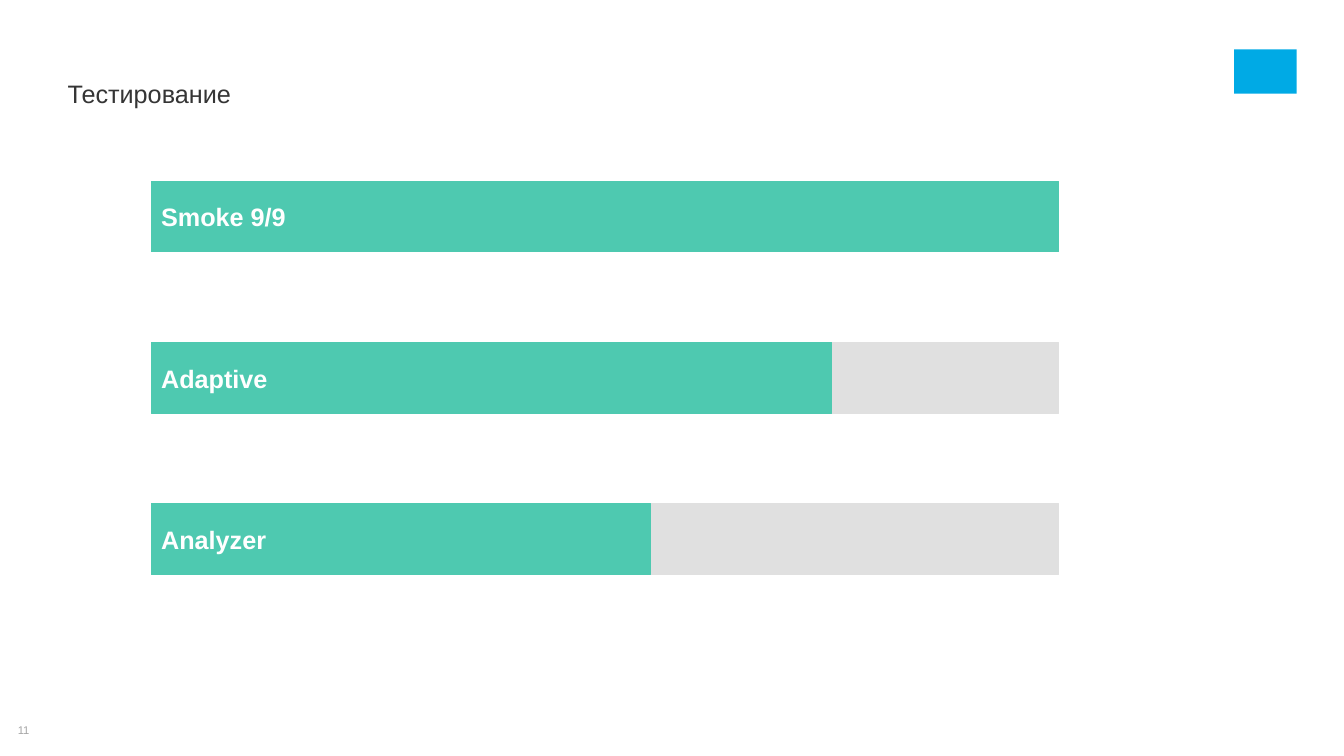
from pptx import Presentation
from pptx.dml.color import RGBColor
from pptx.enum.shapes import MSO_SHAPE
from pptx.enum.text import MSO_ANCHOR, PP_ALIGN
from pptx.util import Emu, Pt

PX = 9144  # EMU per px, 100 px to the inch
FONT = "Arial"
COLORS = {
    "title": "353535",
    "number": "A5A5A5",
    "emblem": "00AAE5",
    "done": "4EC9B0",
    "track": "E0E0E0",
    "label": "FFFFFF",
}
TESTS = [("Smoke 9/9", 1), ("Adaptive", 0.75), ("Analyzer", 0.55)]
BAR_HEIGHT = 70


def px(length):
    return Emu(round(length * PX))


def color(name):
    return RGBColor.from_string(COLORS[name])


def write(shape, text, size, color_name, bold=False, align=PP_ALIGN.LEFT):
    frame = shape.text_frame
    frame.text = text
    frame.word_wrap = True
    frame.vertical_anchor = MSO_ANCHOR.MIDDLE
    paragraph = frame.paragraphs[0]
    paragraph.alignment = align
    font = paragraph.runs[0].font
    font.name = FONT
    font.size = Pt(size)
    font.bold = bold
    font.color.rgb = color(color_name)


def remove_margins(shape):
    frame = shape.text_frame
    frame.margin_left = frame.margin_top = 0
    frame.margin_right = frame.margin_bottom = 0


def add_rectangle(slide, box, color_name):
    shape = slide.shapes.add_shape(MSO_SHAPE.RECTANGLE, *map(px, box))
    shape.shadow.inherit = False
    shape.fill.solid()
    shape.fill.fore_color.rgb = color(color_name)
    shape.line.color.rgb = color(color_name)
    shape.line.width = Pt(0.75)
    return shape


def add_emblem(slide, box):
    add_rectangle(slide, box, "emblem").line.fill.background()


def add_slide_number(slide, box, number):
    text_box = slide.shapes.add_textbox(*map(px, box))
    remove_margins(text_box)
    write(text_box, number, 8, "number", align=PP_ALIGN.CENTER)


def place_title(slide, box, text):
    title = slide.shapes.title
    title.left, title.top, title.width, title.height = map(px, box)
    remove_margins(title)
    write(title, text, 18, "title")


def add_progress_bars(slide, box):
    """Spread one bar per test evenly over the height of the box."""
    left, top, width, height = box
    step = (height - BAR_HEIGHT) / (len(TESTS) - 1)
    for index, (name, share) in enumerate(TESTS):
        bar_top = top + index * step
        if share < 1:
            add_rectangle(slide, (left, bar_top, width, BAR_HEIGHT), "track")
        done = add_rectangle(slide, (left, bar_top, width * share, BAR_HEIGHT), "done")
        write(done, name, 18, "label", bold=True)


def main():
    presentation = Presentation()
    presentation.slide_width = px(1333)
    presentation.slide_height = px(750)
    slide = presentation.slides.add_slide(presentation.slide_layouts[5])
    add_emblem(slide, (1224, 49, 62, 44))
    add_slide_number(slide, (0, 718, 47, 13), "11")
    place_title(slide, (67, 30, 1200, 125), "Тестирование")
    add_progress_bars(slide, (150, 180, 900, 390))
    presentation.save("out.pptx")


if __name__ == "__main__":
    main()
